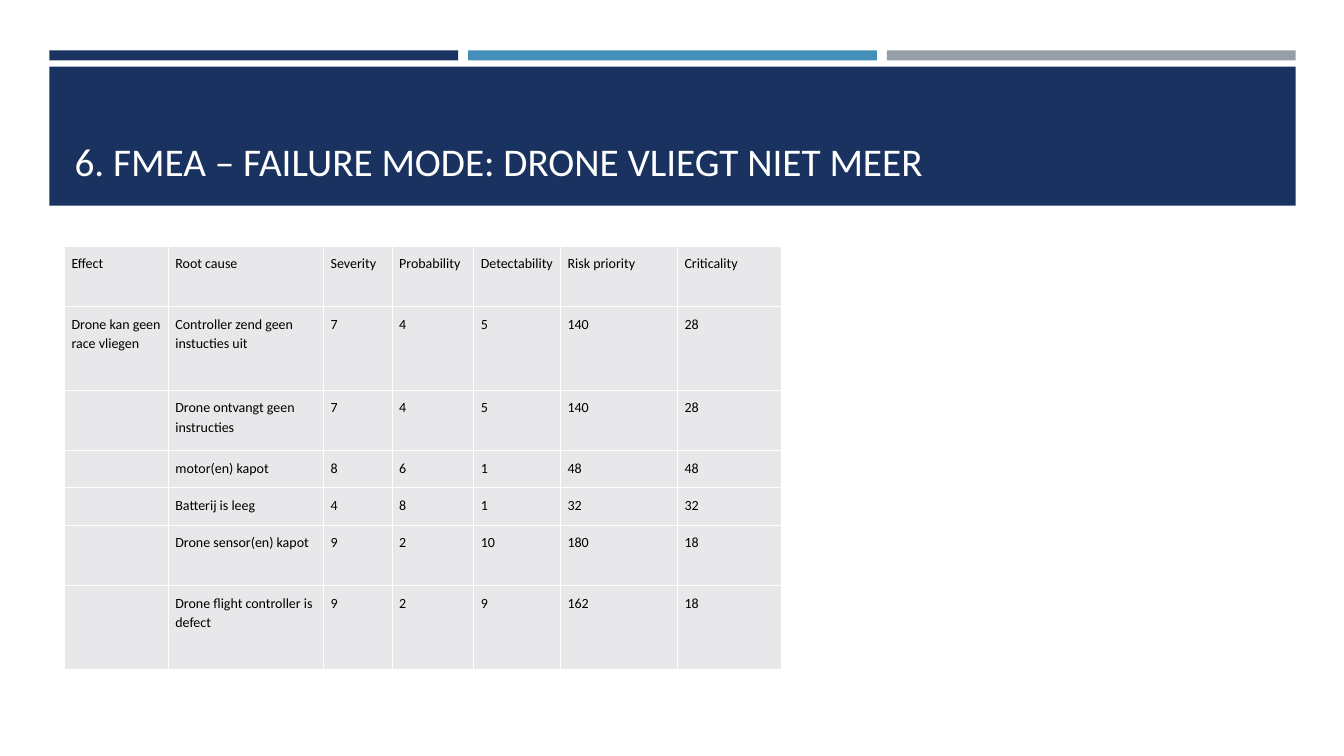
from lxml.etree import SubElement
from pptx import Presentation
from pptx.dml.color import RGBColor
from pptx.enum.shapes import MSO_SHAPE
from pptx.enum.text import MSO_ANCHOR, PP_ALIGN
from pptx.oxml.ns import qn
from pptx.util import Inches, Pt

COLORS = {
    "navy": "1A3260",
    "blue": "4590B8",
    "gray": "969FA7",
    "cell": "E8E8EA",
    "white": "FFFFFF",
    "black": "000000",
}
FONT = "Calibri"
TITLE = "6. FMEA – FAILURE MODE: DRONE VLIEGT NIET MEER"
COLUMN_WIDTHS = [1.03, 1.54, 0.68, 0.81, 0.86, 1.16, 1.03]
ROW_HEIGHTS = [0.6, 0.83, 0.6, 0.37, 0.37, 0.6, 0.83]
FMEA_ROWS = [
    ["Effect", "Root cause", "Severity", "Probability", "Detectability", "Risk priority", "Criticality"],
    ["Drone kan geen race vliegen", "Controller zend geen instucties uit", "7", "4", "5", "140", "28"],
    ["", "Drone ontvangt geen instructies", "7", "4", "5", "140", "28"],
    ["", "motor(en) kapot", "8", "6", "1", "48", "48"],
    ["", "Batterij is leeg", "4", "8", "1", "32", "32"],
    ["", "Drone sensor(en) kapot", "9", "2", "10", "180", "18"],
    ["", "Drone flight controller is defect", "9", "2", "9", "162", "18"],
]


def color(name):
    """Return the named palette colour."""
    return RGBColor.from_string(COLORS[name])


def style_font(font, size, color_name):
    """Apply the slide font with a size and colour."""
    font.name = FONT
    font.size = Pt(size)
    font.color.rgb = color(color_name)


def add_bar(slide, left, top, width, height, color_name):
    """Add a plain filled rectangle."""
    bar = slide.shapes.add_shape(
        MSO_SHAPE.RECTANGLE, Inches(left), Inches(top), Inches(width), Inches(height)
    )
    bar.shadow.inherit = False
    bar.fill.solid()
    bar.fill.fore_color.rgb = color(color_name)
    bar.line.fill.background()


def add_header(slide, left, top, width, height):
    """Add three accent strips over a navy band holding the title."""
    gap = 0.1
    strip_height = 0.1
    strip_width = (width - 2 * gap) / 3
    for index, name in enumerate(["navy", "blue", "gray"]):
        add_bar(slide, left + index * (strip_width + gap), top, strip_width, strip_height, name)
    band_top = top + 0.16
    add_bar(slide, left, band_top, width, height - 0.16, "navy")

    title = slide.shapes.title
    title.left, title.top = Inches(left + 0.15), Inches(band_top + 0.14)
    title.width, title.height = Inches(width - 0.3), Inches(1.08)
    frame = title.text_frame
    frame.text = TITLE
    frame.word_wrap = True
    frame.vertical_anchor = MSO_ANCHOR.BOTTOM
    paragraph = frame.paragraphs[0]
    paragraph.alignment = PP_ALIGN.LEFT
    style_font(paragraph.runs[0].font, 28, "white")
    slide.shapes[-1]._element.addnext(title._element)


def add_borders(cell):
    """Draw a thin white line on every side of a cell."""
    properties = cell._tc.get_or_add_tcPr()
    for side in ["a:lnL", "a:lnR", "a:lnT", "a:lnB"]:
        line = SubElement(properties, qn(side), w=str(Pt(1)))
        fill = SubElement(line, qn("a:solidFill"))
        SubElement(fill, qn("a:srgbClr"), val=COLORS["white"])


def fill_cell(cell, text):
    """Write and format one table cell."""
    add_borders(cell)
    cell.fill.solid()
    cell.fill.fore_color.rgb = color("cell")
    cell.margin_left = cell.margin_top = cell.margin_bottom = Inches(0.07)
    cell.margin_right = Inches(0.05)
    cell.text_frame.text = text
    paragraph = cell.text_frame.paragraphs[0]
    paragraph.line_spacing = 1.15
    for run in paragraph.runs:
        style_font(run.font, 10, "black")
    if not text:
        SubElement(paragraph._p, qn("a:endParaRPr"), sz="1000")


def add_fmea_table(slide, left, top):
    """Add the failure mode table at the given corner."""
    table = slide.shapes.add_table(
        len(ROW_HEIGHTS), len(COLUMN_WIDTHS), Inches(left), Inches(top),
        Inches(sum(COLUMN_WIDTHS)), Inches(sum(ROW_HEIGHTS)),
    ).table
    table.first_row = False
    table.horz_banding = False
    for column, width in zip(table.columns, COLUMN_WIDTHS):
        column.width = Inches(width)
    for row, height, texts in zip(table.rows, ROW_HEIGHTS, FMEA_ROWS):
        row.height = Inches(height)
        for cell, text in zip(row.cells, texts):
            fill_cell(cell, text)


def main():
    """Build and save the presentation."""
    presentation = Presentation()
    presentation.slide_width = Inches(13.33)
    presentation.slide_height = Inches(7.5)
    slide = presentation.slides.add_slide(presentation.slide_layouts[5])
    add_header(slide, 0.49, 0.5, 12.36, 1.54)
    add_fmea_table(slide, 0.64, 2.44)
    presentation.save("out.pptx")


if __name__ == "__main__":
    main()
